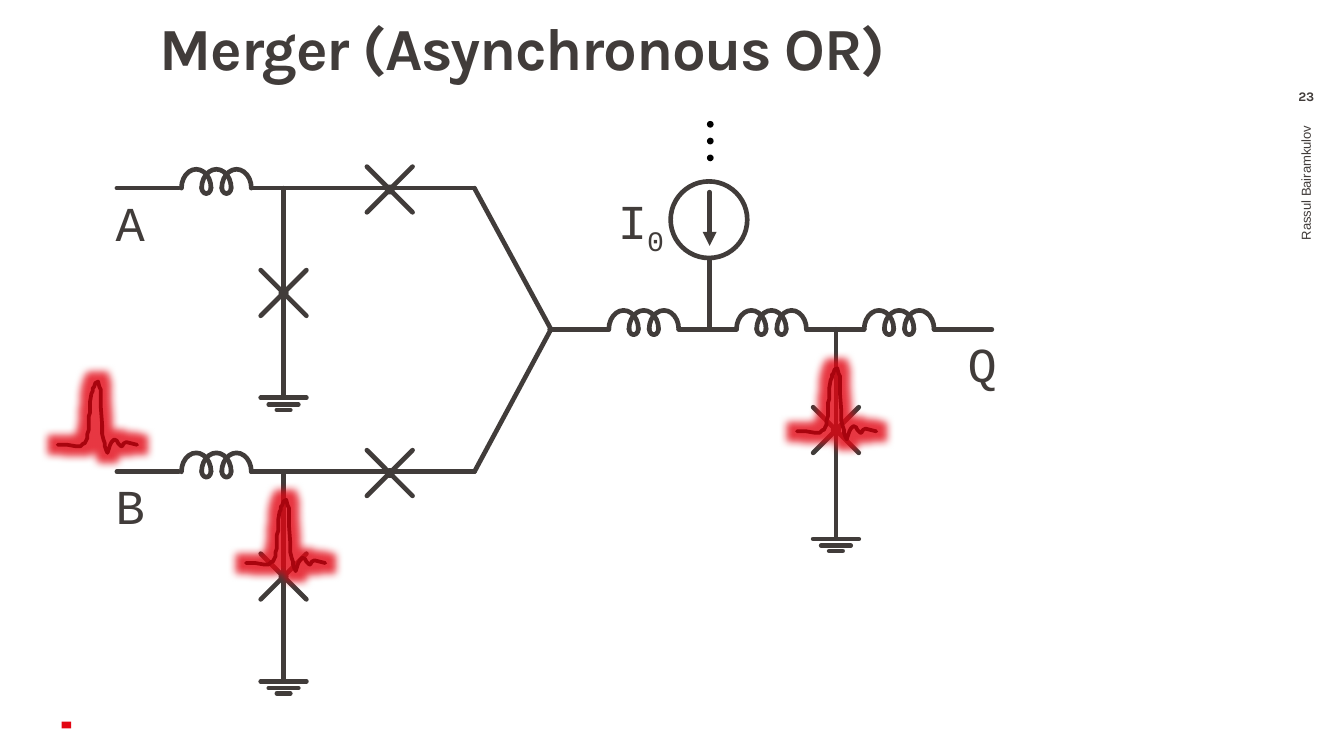
import pptx
import pptx.util
from lxml import etree
from pptx.dml.color import RGBColor
from pptx.enum.shapes import MSO_CONNECTOR, MSO_SHAPE
from pptx.enum.text import MSO_ANCHOR, MSO_AUTO_SIZE, PP_ALIGN
from pptx.oxml.ns import qn
from pptx.util import Inches

INK = RGBColor(0x41, 0x3C, 0x3A)
RED = RGBColor(0xE3, 0x06, 0x13)
PULSE_RED = RGBColor(0xA8, 0x04, 0x0E)
BLACK = RGBColor(0, 0, 0)
WHITE = RGBColor(0xFF, 0xFF, 0xFF)

PULSE_POINTS = [
    (0, 47), (7, 47), (13, 48), (17, 48), (19, 46), (20, 46), (21, 44), (22, 42),
    (22, 39), (23, 36), (23, 31), (23, 26), (24, 23), (24, 21), (24, 15), (25, 9),
    (26, 7), (26, 5), (27, 4), (28, 1), (30, 0), (31, 4), (32, 6), (32, 19),
    (33, 32), (33, 39), (34, 43), (35, 46), (35, 48), (36, 51), (37, 53), (38, 50),
    (39, 47), (40, 45), (41, 44), (42, 43), (44, 44), (45, 46), (47, 48), (48, 48),
    (49, 46), (51, 45), (55, 46), (59, 47),
]


class CircuitSlide:
    def __init__(self, slide):
        self.slide = slide
        self.shapes = slide.shapes

    def stroke(self, shape, color=INK, width=2.5):
        shape.line.color.rgb = color
        shape.line.width = pptx.util.Pt(width)
        outline = shape.element.spPr.find(qn("a:ln"))
        outline.set("cap", "rnd")
        etree.SubElement(outline, qn("a:round"))
        return outline

    def wire(self, x1, y1, x2, y2, arrow=False):
        connector = self.shapes.add_connector(
            MSO_CONNECTOR.STRAIGHT, Inches(x1), Inches(y1), Inches(x2), Inches(y2))
        outline = self.stroke(connector)
        if arrow:
            etree.SubElement(outline, qn("a:tailEnd"), type="triangle")
        etree.SubElement(connector.element.spPr, qn("a:effectLst"))

    def shape(self, kind, left, top, width, height, fill=None, outlined=True):
        shape = self.shapes.add_shape(
            kind, Inches(left), Inches(top), Inches(width), Inches(height))
        shape.shadow.inherit = False
        if fill is None:
            shape.fill.background()
        else:
            shape.fill.solid()
            shape.fill.fore_color.rgb = fill
        if outlined:
            self.stroke(shape)
        else:
            shape.line.fill.background()
        return shape

    def arc(self, left, top, width, height, rotation=0):
        arc = self.shape(MSO_SHAPE.ARC, left, top, width, height)
        arc.adjustments[0] = 107.84
        arc.adjustments[1] = 0
        arc.rotation = rotation

    def coil(self, x, y):
        for turn in range(3):
            self.arc(x + 0.15 * turn, y - 0.14, 0.22, 0.28)
        for loop in (1, 2):
            self.arc(x + 0.15 * loop, y - 0.05, 0.07, 0.09, 180)

    def junction(self, x, y):
        self.wire(x - 0.17, y - 0.17, x + 0.17, y + 0.17)
        self.wire(x + 0.17, y - 0.17, x - 0.17, y + 0.17)
        self.shape(MSO_SHAPE.OVAL, x - 0.02, y - 0.02, 0.04, 0.04)

    def grounded_junction(self, x, y, drop):
        self.wire(x, y, x, y + 1.54)
        self.junction(x, y + drop)
        for offset, half in ((1.56, 0.17), (1.61, 0.11), (1.65, 0.05)):
            self.wire(x - half, y + offset, x + half, y + offset)

    def input_branch(self, y, merge_y):
        self.wire(0.87, y, 1.33, y)
        self.coil(1.35, y)
        self.wire(1.87, y, 3.53, y)
        self.grounded_junction(2.11, y, 0.78)
        self.junction(2.9, y + 0.01)
        self.wire(3.53, y, 4.1, merge_y)

    def current_source(self, x, y):
        self.wire(x, 1.92, x, y)
        self.shape(MSO_SHAPE.OVAL, x - 0.29, 1.35, 0.57, 0.57, WHITE)
        self.wire(x, 1.43, x, 1.83, arrow=True)
        for dot in range(3):
            self.shape(MSO_SHAPE.OVAL, x - 0.02, 0.9 + 0.125 * dot, 0.05, 0.05, BLACK, False)

    def pulse(self, left, top):
        builder = self.shapes.build_freeform(*PULSE_POINTS[0], scale=Inches(0.01))
        builder.add_line_segments(PULSE_POINTS[1:], close=False)
        pulse = builder.convert_to_shape(Inches(left), Inches(top))
        pulse.shadow.inherit = False
        pulse.fill.background()
        self.stroke(pulse, PULSE_RED, 2)
        effects = pulse.element.spPr.find(qn("a:effectLst"))
        glow = etree.SubElement(effects, qn("a:glow"), rad=str(Inches(0.12)))
        color = etree.SubElement(glow, qn("a:srgbClr"), val=str(RED))
        etree.SubElement(color, qn("a:alpha"), val="80000")

    def run(self, paragraph, text, size, font, bold=False):
        run = paragraph.add_run()
        run.text = text
        run.font.size = pptx.util.Pt(size)
        run.font.name = font
        run.font.bold = bold
        run.font.color.rgb = INK
        return run

    def title(self, text):
        title = self.shapes.title
        title.left, title.top = Inches(0.99), Inches(0.14)
        title.width, title.height = Inches(5.79), Inches(1.17)
        frame = title.text_frame
        frame.auto_size = MSO_AUTO_SIZE.NONE
        frame.vertical_anchor = MSO_ANCHOR.TOP
        frame.margin_left, frame.margin_right = Inches(0.2), Inches(0.08)
        frame.margin_top, frame.margin_bottom = 0, Inches(0.05)
        paragraph = frame.paragraphs[0]
        paragraph.alignment = PP_ALIGN.LEFT
        paragraph.line_spacing = 0.9
        run = self.run(paragraph, text, 32, "Karla", True)
        run.font._element.set("spc", "-70")

    def text(self, left, top, width, height, text, size=26.1, font="Courier New",
             bold=False, align=PP_ALIGN.CENTER, subscript=None, rotation=0):
        box = self.shapes.add_textbox(
            Inches(left), Inches(top), Inches(width), Inches(height))
        box.rotation = rotation
        frame = box.text_frame
        frame.word_wrap = True
        frame.vertical_anchor = MSO_ANCHOR.MIDDLE
        paragraph = frame.paragraphs[0]
        paragraph.alignment = align
        self.run(paragraph, text, size, font, bold)
        if subscript:
            run = self.run(paragraph, subscript, size, font, bold)
            run.font._element.set("baseline", "-25000")
        return frame


def main():
    presentation = pptx.Presentation()
    presentation.slide_width = Inches(10)
    presentation.slide_height = presentation.slide_width * 9 // 16
    merger = CircuitSlide(presentation.slides.add_slide(presentation.slide_layouts[5]))

    merger.shape(MSO_SHAPE.RECTANGLE, 0.46, 5.37, 0.07, 0.05, RED, False)
    merger.title("Merger (Asynchronous OR)")
    merger.text(7.78, 2.49, 3.87, 0.56, "Rassul Bairamkulov", 7, "Arial",
                align=PP_ALIGN.RIGHT, rotation=270)
    number = merger.text(9.44, 0.66, 0.56, 0.18, "23", 7, "Karla", True)
    number.margin_top = number.margin_bottom = 0
    number.vertical_anchor = MSO_ANCHOR.TOP

    output_y = 2.45
    for input_y in (1.4, 3.51):
        merger.input_branch(input_y, output_y)
    merger.wire(4.09, output_y, 4.53, output_y)
    for stage in range(3):
        coil_x = 4.53 + 0.95 * stage
        merger.coil(coil_x, output_y)
        merger.wire(coil_x + 0.52, output_y, coil_x + 0.95, output_y)
    merger.grounded_junction(6.22, output_y, 0.75)
    merger.current_source(5.28, output_y)

    for left, top in ((0.43, 2.84), (1.83, 3.72), (5.93, 2.74)):
        merger.pulse(left, top)

    merger.text(4.47, 1.49, 0.6, 0.35, "I", subscript="0")
    for name, left, top in (("Q", 7.01, 2.43), ("B", 0.67, 3.49), ("A", 0.67, 1.38)):
        merger.text(left, top, 0.6, 0.54, name)

    presentation.save("out.pptx")


if __name__ == "__main__":
    main()
